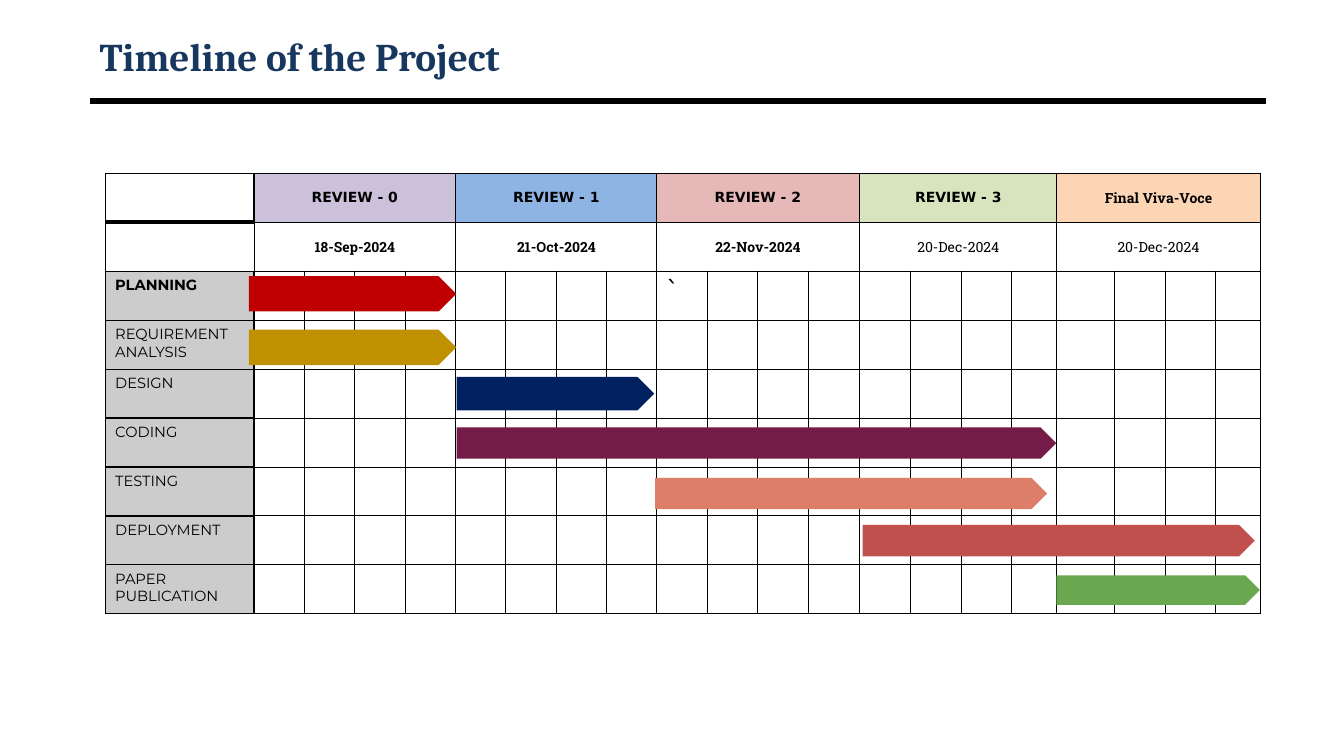
from lxml import etree
from pptx import Presentation
from pptx.dml.color import RGBColor
from pptx.enum import shapes, text
from pptx.oxml import ns
from pptx.util import Cm, Pt

BLACK = RGBColor(0x00, 0x00, 0x00)
WHITE = RGBColor(0xFF, 0xFF, 0xFF)
NAVY = RGBColor(0x17, 0x37, 0x5E)
GREY = RGBColor(0xCC, 0xCC, 0xCC)
LILAC = RGBColor(0xCC, 0xC1, 0xDA)
SKY = RGBColor(0x8E, 0xB4, 0xE3)
PINK = RGBColor(0xE6, 0xB9, 0xB8)
LIME = RGBColor(0xD7, 0xE4, 0xBD)
PEACH = RGBColor(0xFC, 0xD5, 0xB5)
RED = RGBColor(0xC0, 0x00, 0x00)
GOLD = RGBColor(0xBF, 0x90, 0x00)
MIDNIGHT = RGBColor(0x00, 0x20, 0x60)
PLUM = RGBColor(0x74, 0x1B, 0x47)
CORAL = RGBColor(0xDD, 0x7E, 0x6B)
BRICK = RGBColor(0xC0, 0x50, 0x4D)
GREEN = RGBColor(0x6A, 0xA8, 0x4F)

SANS = "DejaVu Sans"
SLAB = "Roboto Slab"
THIN, MEDIUM, THICK = 0.75, 1, 3
ROW_COUNT = 9
QUARTERS = 4
TABLE_TOP = Cm(4.37)
TABLE_HEIGHT = Cm(11.1)

PHASES = ["PLANNING", "REQUIREMENT ANALYSIS", "DESIGN", "CODING", "TESTING",
          "DEPLOYMENT", "PAPER PUBLICATION"]
FIRST_REVIEWS = [("REVIEW - 0", "18-Sep-2024", LILAC, SANS, True),
                 ("REVIEW - 1", "21-Oct-2024", SKY, SANS, True)]
LATER_REVIEWS = [("REVIEW - 2", "22-Nov-2024", PINK, SANS, True),
                 ("REVIEW - 3", "20-Dec-2024", LIME, SANS, False)]
FINAL_REVIEW = [("Final Viva-Voce", "20-Dec-2024", PEACH, SLAB, False)]
BARS = [(6.27, 6.96, 5.23, 0.89, RED),
        (6.27, 8.31, 5.23, 0.89, GOLD),
        (11.51, 9.5, 4.98, 0.84, MIDNIGHT),
        (11.51, 10.77, 15.11, 0.79, PLUM),
        (16.51, 12.04, 9.88, 0.79, CORAL),
        (26.62, 14.5, 5.13, 0.74, GREEN),
        (21.74, 13.23, 9.88, 0.79, BRICK)]


def write_text(frame, content, font, size, color=BLACK, bold=False,
               align=text.PP_ALIGN.LEFT):
    paragraph = frame.paragraphs[0]
    paragraph.alignment = align
    run = paragraph.add_run()
    run.text = content
    run.font.name = font
    run.font.size = Pt(size)
    run.font.bold = bold
    run.font.color.rgb = color


def style_cell(cell, fill=WHITE, left=THIN, right=THIN, top=THIN, bottom=THIN):
    properties = cell._tc.get_or_add_tcPr()
    for side, width in zip("LRTB", (left, right, top, bottom)):
        line = etree.SubElement(properties, ns.qn(f"a:ln{side}"), w=str(Pt(width)))
        solid = etree.SubElement(line, ns.qn("a:solidFill"))
        etree.SubElement(solid, ns.qn("a:srgbClr"), val=str(BLACK))
    cell.fill.solid()
    cell.fill.fore_color.rgb = fill


def add_title(slide):
    box = slide.shapes.add_textbox(Cm(2.26), Cm(0.74), Cm(29.64), Cm(1.35))
    box.text_frame.word_wrap = True
    box.text_frame.vertical_anchor = text.MSO_ANCHOR.MIDDLE
    write_text(box.text_frame, "Timeline of the Project", "Cambria", 28, NAVY, bold=True)


def add_rule(slide):
    rule = slide.shapes.add_connector(shapes.MSO_CONNECTOR.STRAIGHT,
                                      Cm(2.26), Cm(2.54), Cm(31.9), Cm(2.54))
    rule.line.color.rgb = BLACK
    rule.line.width = Pt(4.5)
    etree.SubElement(rule._element.spPr, ns.qn("a:effectLst"))


def add_grid(slide, left, widths):
    frame = slide.shapes.add_table(ROW_COUNT, len(widths), Cm(left), TABLE_TOP,
                                   Cm(sum(widths)), TABLE_HEIGHT)
    table = frame.table
    table.first_row = table.horz_banding = False
    for column, width in zip(table.columns, widths):
        column.width = Cm(width)
    for row in table.rows:
        row.height = TABLE_HEIGHT // ROW_COUNT
    return table


def fill_phases(table):
    style_cell(table.cell(0, 0), left=MEDIUM, right=MEDIUM, top=MEDIUM, bottom=THICK)
    style_cell(table.cell(1, 0), left=MEDIUM, top=THICK, bottom=MEDIUM)
    for row, phase in enumerate(PHASES, start=2):
        cell = table.cell(row, 0)
        style_cell(cell, GREY, MEDIUM, MEDIUM, MEDIUM, MEDIUM)
        write_text(cell.text_frame, phase, "Montserrat", 10.5, bold=row == 2)


def add_heading(table, row, first, content, font, bold):
    cell = table.cell(row, first)
    cell.merge(table.cell(row, first + QUARTERS - 1))
    cell.vertical_anchor = text.MSO_ANCHOR.MIDDLE
    write_text(cell.text_frame, content, font, 10, bold=bold,
               align=text.PP_ALIGN.CENTER)


def fill_reviews(table, reviews, start=0, edge=MEDIUM):
    for index, (name, date, color, font, bold_date) in enumerate(reviews):
        first = start + index * QUARTERS
        for column in range(first, first + QUARTERS):
            style_cell(table.cell(0, column), color, MEDIUM, MEDIUM, MEDIUM)
            style_cell(table.cell(1, column))
            for row in range(2, ROW_COUNT):
                style_cell(table.cell(row, column),
                           left=edge if column == start else THIN)
        add_heading(table, 0, first, name, font, True)
        add_heading(table, 1, first, date, SLAB, bold_date)


def add_bar(slide, left, top, width, height, color):
    bar = slide.shapes.add_shape(shapes.MSO_SHAPE.PENTAGON,
                                 Cm(left), Cm(top), Cm(width), Cm(height))
    bar.shadow.inherit = False
    bar.fill.solid()
    bar.fill.fore_color.rgb = color
    bar.line.fill.background()


def main():
    presentation = Presentation()
    presentation.slide_width = Cm(33.87)
    presentation.slide_height = Cm(19.05)
    slide = presentation.slides.add_slide(presentation.slide_layouts[6])
    add_rule(slide)
    add_title(slide)

    first_table = add_grid(slide, 2.65, [3.75] + [1.27] * 8)
    fill_phases(first_table)
    fill_reviews(first_table, FIRST_REVIEWS, start=1)

    later_table = add_grid(slide, 16.54, [1.28] * 7 + [1.14])
    fill_reviews(later_table, LATER_REVIEWS)
    write_text(later_table.cell(2, 0).text_frame, "`", SANS, 18)

    final_table = add_grid(slide, 26.62, [1.47, 1.27, 1.27, 1.14])
    fill_reviews(final_table, FINAL_REVIEW, edge=THIN)

    for bar in BARS:
        add_bar(slide, *bar)
    presentation.save("out.pptx")


if __name__ == "__main__":
    main()
